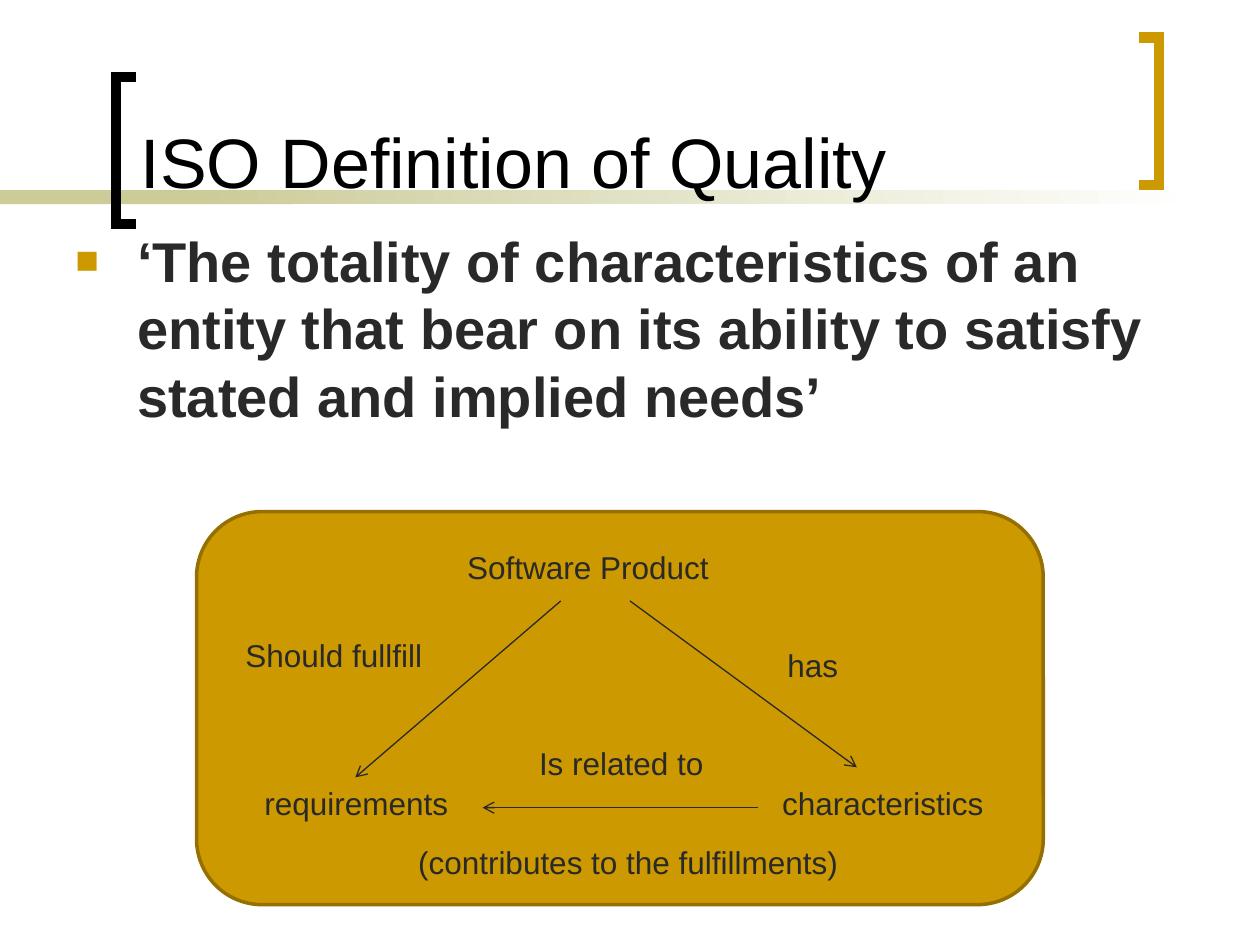
from lxml import etree
from pptx import Presentation
from pptx.dml.color import RGBColor
from pptx.enum.shapes import MSO_CONNECTOR, MSO_SHAPE
from pptx.enum.text import MSO_ANCHOR, MSO_AUTO_SIZE
from pptx.oxml.ns import qn
from pptx.util import Inches, Pt

BLACK = RGBColor(0x00, 0x00, 0x00)
WHITE = RGBColor(0xFF, 0xFF, 0xFF)
INK = RGBColor(0x29, 0x29, 0x29)
GOLD = RGBColor(0xCC, 0x99, 0x00)
DARK_GOLD = RGBColor(0x95, 0x6F, 0x00)
SAND = RGBColor(0xCC, 0xCC, 0x99)
RECT = MSO_SHAPE.RECTANGLE
ROUNDED = MSO_SHAPE.ROUNDED_RECTANGLE
STRAIGHT = MSO_CONNECTOR.STRAIGHT
TOP, BOTTOM = MSO_ANCHOR.TOP, MSO_ANCHOR.BOTTOM
FIXED, GROW = MSO_AUTO_SIZE.NONE, MSO_AUTO_SIZE.SHAPE_TO_FIT_TEXT


class Deck:
    """Draws styled elements on a grid of 100 columns by 75 rows."""

    font = "Arial"

    def __init__(self):
        self.prs = Presentation()
        self.prs.slide_width, self.prs.slide_height = Inches(10), Inches(7.5)
        self.unit = self.prs.slide_width / 100
        self.s = self.prs.slides.add_slide(self.prs.slide_layouts[6])

    def grid(self, *cells):
        return [round(c * self.unit) for c in cells]

    def shape(self, kind, at, fill, fade=None, line=None, radius=None):
        sp = self.s.shapes.add_shape(kind, *self.grid(*at))
        sp.shadow.inherit = False
        if fade is None:
            sp.fill.solid()
            sp.fill.fore_color.rgb = fill
        else:
            sp.fill.gradient()
            sp.fill.gradient_angle = 0
            for stop, color in zip(sp.fill.gradient_stops, (fill, fade)):
                stop.color.rgb = color
        if line is None:
            sp.line.fill.background()
        else:
            sp.line.color.rgb = line
            sp.line.width = Pt(2)
        if radius is not None:
            sp.adjustments[0] = radius

    def bracket(self, tip, spine, top, color, height=11.7):
        points = [(tip, top), (spine, top), (spine, top + height), (tip, top + height)]
        start, *rest = [self.grid(*pt) for pt in points]
        builder = self.s.shapes.build_freeform(*start)
        builder.add_line_segments(rest, close=False)
        sp = builder.convert_to_shape()
        sp.shadow.inherit = False
        sp.fill.background()
        sp.line.color.rgb = color
        sp.line.width = Pt(6)
        etree.SubElement(sp.line._get_or_add_ln(), qn("a:miter"), lim="800000")

    def text(self, text, at, size=18, color=INK, bold=False, wrap=True, anchor=TOP):
        tf = self.s.shapes.add_textbox(*self.grid(*at)).text_frame
        tf.word_wrap = wrap
        tf.auto_size = FIXED if wrap else GROW
        tf.vertical_anchor = anchor
        tf.text = text
        p = tf.paragraphs[0]
        font = p.runs[0].font
        font.name, font.size, font.bold = self.font, Pt(size), bold
        font.color.rgb = color
        return p

    def bullet(self, text, at, size):
        p = self.text(text, at, size, bold=True)
        pPr = p._p.get_or_add_pPr()
        indent = Inches(0.49)
        pPr.set("marL", str(indent))
        pPr.set("indent", str(-indent))
        color = etree.SubElement(pPr, qn("a:buClr"))
        etree.SubElement(color, qn("a:srgbClr"), val=str(GOLD))
        etree.SubElement(pPr, qn("a:buSzPct"), val="70000")
        etree.SubElement(pPr, qn("a:buFont"), typeface=self.font)
        etree.SubElement(pPr, qn("a:buChar"), char="■")

    def arrow(self, start, end):
        cn = self.s.shapes.add_connector(STRAIGHT, *self.grid(*start, *end))
        cn.line.color.rgb = INK
        cn.line.width = Pt(0.75)
        etree.SubElement(cn.line._get_or_add_ln(), qn("a:tailEnd"), type="arrow")
        etree.SubElement(cn._element.spPr, qn("a:effectLst"))


def main():
    deck = Deck()
    deck.shape(RECT, (0, 15.1, 23.3, 1.1), SAND)
    deck.shape(RECT, (15.8, 15.1, 79.2, 1.1), SAND, fade=WHITE)
    deck.bracket(10.8, 9.2, 6.1, BLACK)
    deck.bracket(90.4, 92, 3, GOLD)
    deck.text("ISO Definition of Quality", (10.2, 1.1, 78.3, 15.5), 40, BLACK,
              anchor=BOTTOM)
    deck.bullet("‘The totality of characteristics of an entity that bear on its "
                "ability to satisfy stated and implied needs’", (5, 17.5, 90, 19.2), 32)

    deck.shape(ROUNDED, (15.6, 40.6, 67.2, 31.2), GOLD, line=DARK_GOLD, radius=0.167)
    labels = [
        ("Software Product", 36.1, 43, 21.4),
        ("Should fullfill", 18.5, 50, 16.4),
        ("has", 61.5, 50.8, 6.2),
        ("characteristics", 61.1, 61.7, 18.2),
        ("requirements", 20, 61.7, 16.8),
        ("Is related to", 41.8, 58.6, 15.4),
        ("(contributes to the fulfillments)", 32.2, 66.4, 35.7),
    ]
    for text, left, top, width in labels:
        deck.text(text, (left, top, width, 4), wrap=False)
    deck.arrow((44.5, 47.7), (28.2, 61.7))
    deck.arrow((50, 47.7), (68, 60.9))
    deck.arrow((60.2, 64.1), (38.3, 64.1))
    deck.prs.save("out.pptx")


if __name__ == "__main__":
    main()
